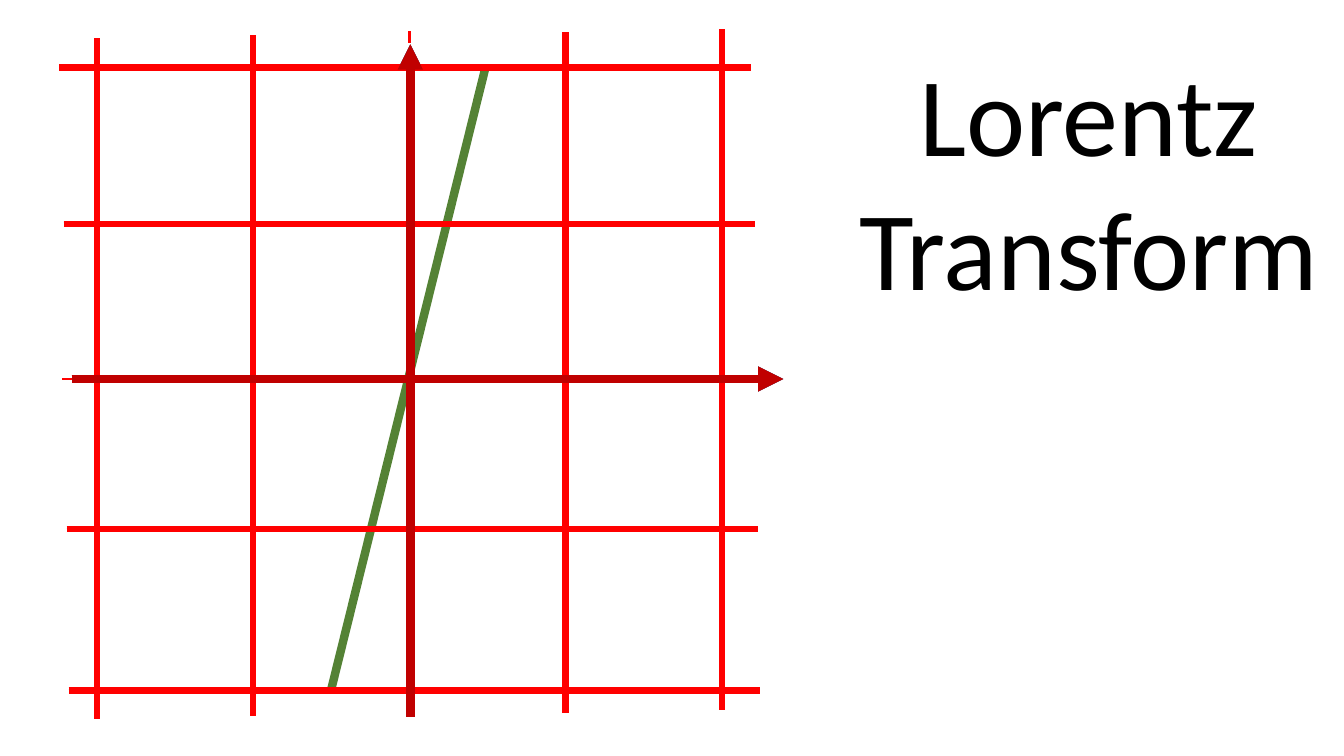
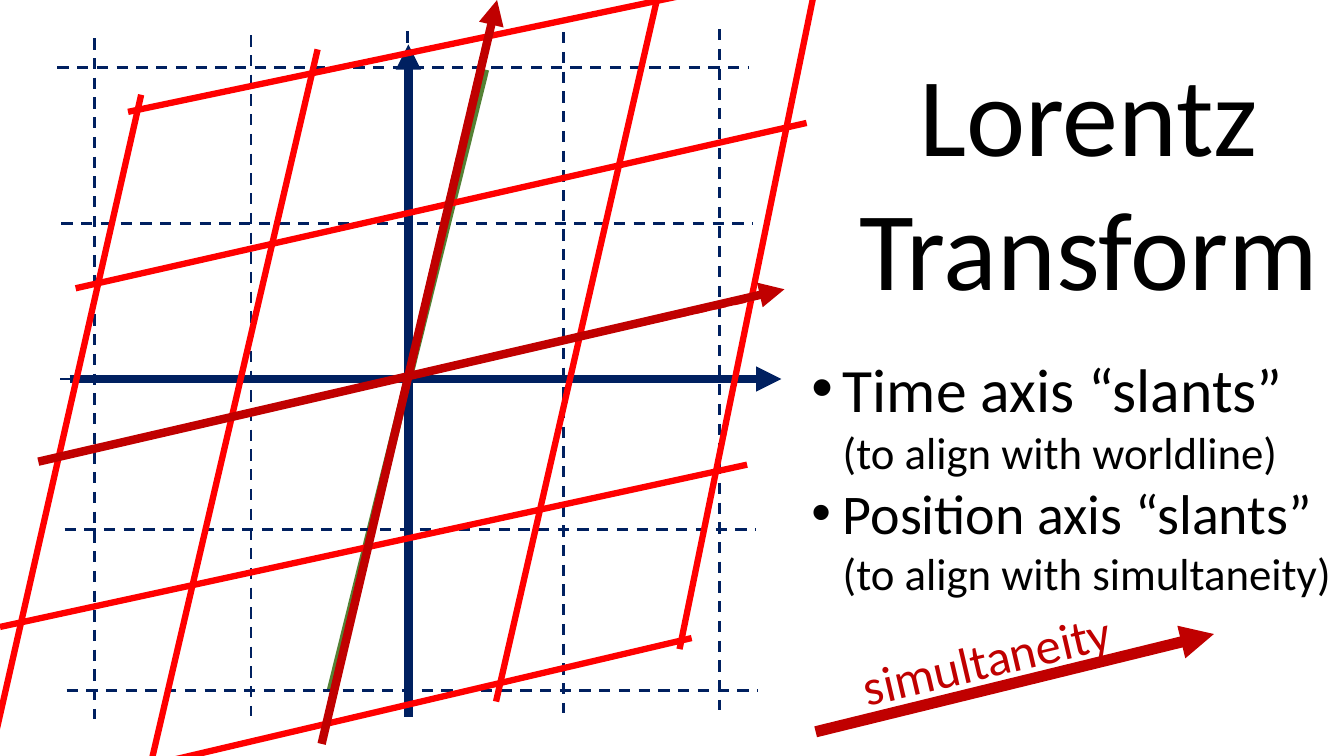
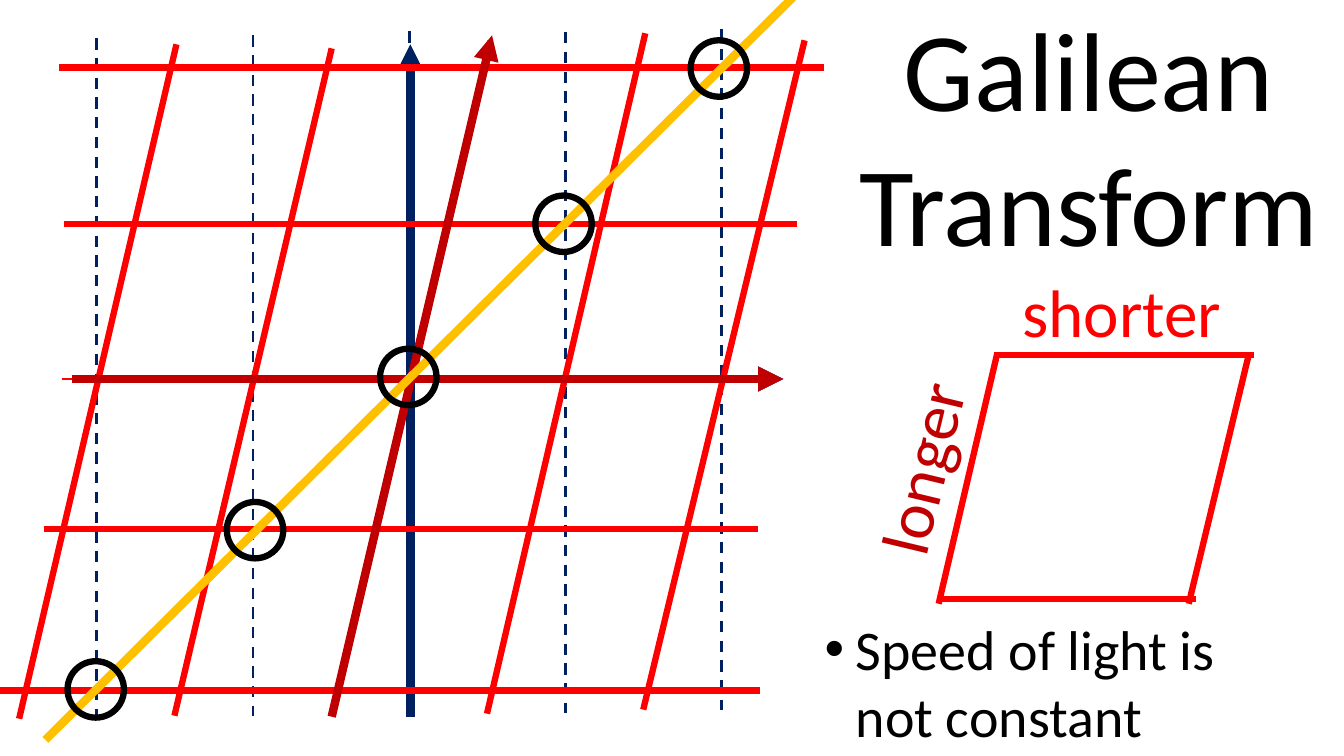
from lxml import etree
from pptx import Presentation
from pptx import util as u
from pptx.dml.color import RGBColor
from pptx.enum import dml, shapes, text
from pptx.oxml.ns import qn

NAVY, RED, CRIMSON = "002060", "FF0000", "C00000"
GREEN, GOLD, BLACK, WHITE = "548235", "FFC000", "000000", "FFFFFF"
FONT = "Calibri"
THIN, GRID, AXIS, ARROW = 2, 4.5, 6, 8

TOPS = [0.38, 0.35, 0.31, 0.32, 0.29]
ROWS = [(0.59, 0.67), (0.63, 2.22), (0.62, 3.76), (0.66, 5.25), (0.68, 6.85)]
STEP, COLUMN_LENGTH, ROW_LENGTH = 1.55, 6.75, 6.86
POSITION_AXIS = (0.71, 3.76, 7.77, 3.76)
TIME_AXIS = (4.07, 7.11, 4.07, 0.44)
WORLDLINE = (3.28, 6.86, 4.81, 0.69)

LORENTZ_COLUMNS = [
    (1.4, 0.94, -0.22, 8.06),
    (3.15, 0.49, 1.43, 7.86),
    (4.81, 0.4, 3.24, 7.07),
    (6.57, -0.24, 4.92, 6.96),
    (8.16, -0.49, 6.74, 6.44),
]
LORENTZ_ROWS = [
    (1.27, 1.11, 8.32, -0.37),
    (0.75, 2.86, 8, 1.22),
    (0.6, 4.51, 7.44, 2.98),
    (0, 6.22, 7.41, 4.61),
    (-0.21, 7.99, 6.86, 6.33),
]
LORENTZ_AXES = [(0.38, 4.58, 7.78, 2.87), (3.19, 7.38, 4.93, 0)]

GALILEAN_COLUMNS = [
    (1.75, 0.44, 0.19, 7.13),
    (3.29, 0.48, 1.73, 7.1),
    (4.85, 0.4, 3.28, 7.07),
    (6.4, 0.33, 4.83, 7.08),
    (7.98, 0.4, 6.38, 7.04),
]
GALILEAN_ROWS = [
    (0.59, 0.67, 8.17, 0.67),
    (0.63, 2.22, 7.9, 2.22),
    (0.62, 3.76, 7.48, 3.76),
    (0.44, 5.25, 7.52, 5.25),
    (0, 6.85, 7.54, 6.85),
]
GALILEAN_AXES = [POSITION_AXIS, (3.29, 7.11, 4.88, 0.35)]
LIGHT = (0.45, 7.34, 8.17, -0.33)
CELL = [
    (9.89, 3.51, 9.31, 5.99),
    (12.39, 3.5, 11.79, 5.99),
    (9.31, 5.94, 11.86, 5.94),
    (9.86, 3.52, 12.44, 3.52),
]
CIRCLES = [(0.67, 6.56), (2.25, 4.98), (3.77, 3.46), (5.31, 1.94), (6.85, 0.4)]
CIRCLE_SIZE = 0.56

SLANT_BULLETS = [
    [("Time axis “slants”", 44), ("(to align with worldline)", 32)],
    [("Position axis “slants”", 40), ("(to align with simultaneity)", 32)],
]
LIGHT_BULLETS = [[("Speed of light is", 40), ("not constant", 40)]]


def rgb(color):
    return RGBColor.from_string(color)


def box(*lengths):
    return [u.Inches(n) for n in lengths]


def add_run(p, words, size, color=BLACK):
    r = p.add_run()
    r.text = words
    r.font.name = FONT
    r.font.size = u.Pt(size)
    r.font.color.rgb = rgb(color)


def add_line(parent, ends, color, width, dash=False, arrow=False):
    c = parent.add_connector(shapes.MSO_CONNECTOR.STRAIGHT, *box(*ends))
    c.line.color.rgb = rgb(color)
    c.line.width = u.Pt(width)
    if dash:
        c.line.dash_style = dml.MSO_LINE.DASH
    spPr = c._element.spPr
    if arrow:
        etree.SubElement(spPr.find(qn("a:ln")), qn("a:tailEnd"), type="triangle")
    etree.SubElement(spPr, qn("a:effectLst"))


def add_axes(parent, axes, color):
    for ends in axes:
        add_line(parent, ends, color, AXIS, arrow=True)


def add_red_grid(s, columns, rows, axes):
    for family in (columns, rows):
        for i, ends in enumerate(family):
            middle = i == 2
            add_line(s.shapes, ends, RED, THIN if middle else GRID, dash=middle)
    add_axes(s.shapes, axes, CRIMSON)


def rest_grid(dx=0):
    columns = [(0.96 + STEP * i + dx, top, 0.96 + STEP * i + dx, top + COLUMN_LENGTH)
               for i, top in enumerate(TOPS)]
    rows = [(x + dx, y, x + dx + ROW_LENGTH, y) for x, y in ROWS]
    axes = [(x1 + dx, y1, x2 + dx, y2)
            for x1, y1, x2, y2 in (POSITION_AXIS, TIME_AXIS)]
    return columns, rows, axes


def add_navy_grid(s, dx=0):
    columns, rows, axes = rest_grid(dx)
    group = s.shapes.add_group_shape().shapes
    for ends in columns + rows:
        add_line(group, ends, NAVY, THIN, dash=True)
    add_axes(group, axes, NAVY)


def add_slide(prs, words, top):
    s = prs.slides.add_slide(prs.slide_layouts[5])
    title = s.shapes.title
    title.left, title.top, title.width, title.height = box(8.5, top, 4.6, 2.69)
    title.fill.solid()
    title.fill.fore_color.rgb = rgb(WHITE)
    tf = title.text_frame
    tf.auto_size = text.MSO_AUTO_SIZE.NONE
    tf.word_wrap = False
    tf.vertical_anchor = text.MSO_ANCHOR.TOP
    tf.margin_left = tf.margin_right = tf.margin_top = tf.margin_bottom = 0
    for i, word in enumerate(words):
        p = tf.add_paragraph() if i else tf.paragraphs[0]
        p.alignment = text.PP_ALIGN.CENTER
        add_run(p, word, 80)
    return s


def add_bullets(s, place, bullets):
    tf = s.shapes.add_textbox(*box(*place)).text_frame
    tf.word_wrap = True
    for i, lines in enumerate(bullets):
        p = tf.add_paragraph() if i else tf.paragraphs[0]
        pPr = p._p.get_or_add_pPr()
        pPr.set("marL", str(u.Inches(0.31)))
        pPr.set("indent", str(-u.Inches(0.31)))
        etree.SubElement(pPr, qn("a:buFont"), typeface="Arial")
        etree.SubElement(pPr, qn("a:buChar"), char="•")
        for j, (words, size) in enumerate(lines):
            if j:
                p.add_line_break()
            add_run(p, words, size)


def add_label(parent, place, words, size, color, rotation=0, centred=False):
    sp = parent.add_textbox(*box(*place))
    sp.rotation = rotation
    tf = sp.text_frame
    tf.word_wrap = not centred
    p = tf.paragraphs[0]
    if centred:
        p.alignment = text.PP_ALIGN.CENTER
    add_run(p, words, size, color)


def add_circle(s, left, top):
    sp = s.shapes.add_shape(shapes.MSO_SHAPE.OVAL,
                            *box(left, top, CIRCLE_SIZE, CIRCLE_SIZE))
    sp.shadow.inherit = False
    sp.fill.background()
    sp.line.color.rgb = rgb(BLACK)
    sp.line.width = u.Pt(GRID)


def build_rest(prs):
    s = add_slide(prs, ["Lorentz", "Transform"], 0.44)
    add_line(s.shapes, WORLDLINE, GREEN, AXIS)
    add_navy_grid(s)
    add_red_grid(s, *rest_grid())


def build_lorentz(prs):
    s = add_slide(prs, ["Lorentz", "Transform"], 0.44)
    add_line(s.shapes, WORLDLINE, GREEN, AXIS)
    add_navy_grid(s, -0.02)
    add_red_grid(s, LORENTZ_COLUMNS, LORENTZ_ROWS, LORENTZ_AXES)
    add_bullets(s, (7.95, 3.43, 5.39, 2.59), SLANT_BULLETS)
    group = s.shapes.add_group_shape().shapes
    add_line(group, (8.09, 7.26, 12.04, 6.29), CRIMSON, ARROW, arrow=True)
    add_label(group, (8.42, 6.18, 2.73, 0.71), "simultaneity", 36, CRIMSON,
              346.8, centred=True)


def build_galilean(prs):
    s = add_slide(prs, ["Galilean", "Transform"], 0)
    add_navy_grid(s)
    add_red_grid(s, GALILEAN_COLUMNS, GALILEAN_ROWS, GALILEAN_AXES)
    add_line(s.shapes, LIGHT, GOLD, AXIS)
    add_bullets(s, (8.08, 6.05, 5.26, 1.45), LIGHT_BULLETS)
    cell = s.shapes.add_group_shape().shapes
    for ends in CELL:
        add_line(cell, ends, RED, GRID)
    add_label(s.shapes, (8.12, 4.12, 2.06, 0.91), "longer", 48, CRIMSON, 283.4)
    add_label(s.shapes, (10.04, 2.63, 2.32, 0.91), "shorter", 48, RED)
    for left, top in CIRCLES:
        add_circle(s, left, top)


def main():
    prs = Presentation()
    prs.slide_width, prs.slide_height = box(13.33, 7.5)
    build_rest(prs)
    build_lorentz(prs)
    build_galilean(prs)
    prs.save("out.pptx")


if __name__ == "__main__":
    main()
